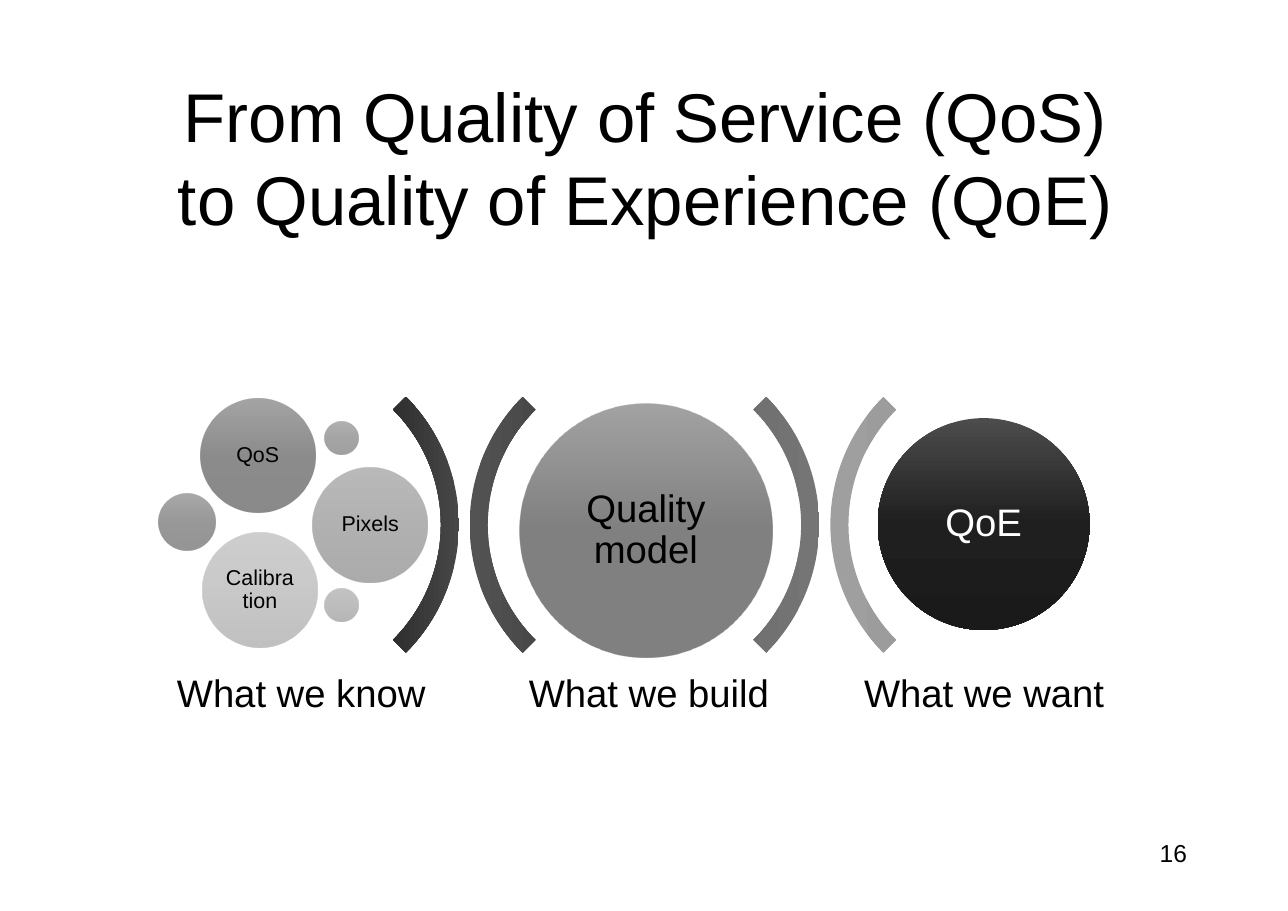
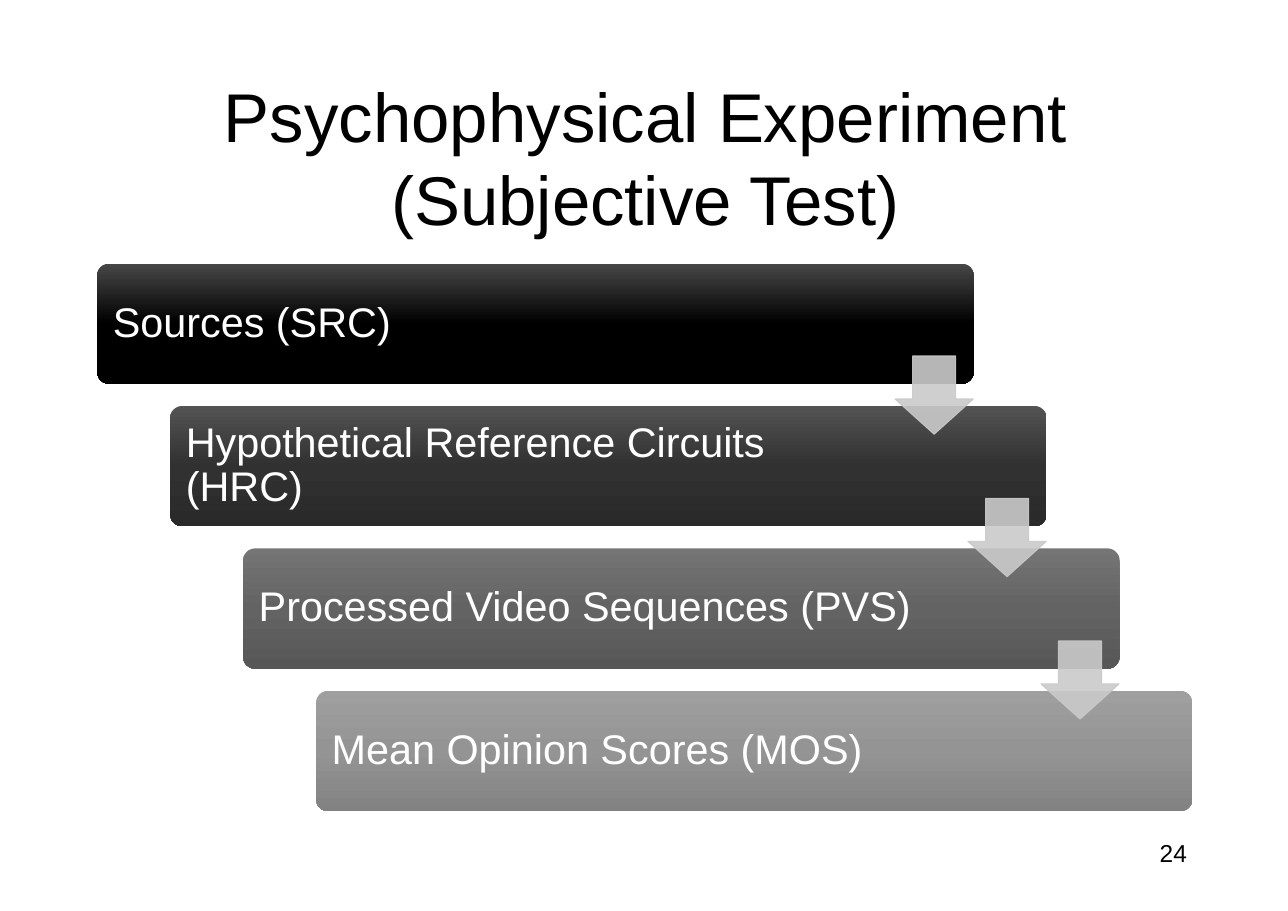
from dataclasses import dataclass

from lxml.etree import SubElement
from pptx import Presentation
from pptx.dml.color import RGBColor
from pptx.enum.shapes import MSO_SHAPE as SHAPE
from pptx.enum.text import MSO_ANCHOR as ANCHOR, PP_ALIGN as ALIGN
from pptx.oxml.ns import qn
from pptx.shapes.autoshape import Shape
from pptx.slide import Slide
from pptx.util import Cm, Pt

FONT = "Arial"
BLACK = RGBColor(0x00, 0x00, 0x00)
WHITE = RGBColor(0xFF, 0xFF, 0xFF)
SILVER = RGBColor(0xCA, 0xCA, 0xCA)

Gradient = tuple[RGBColor, RGBColor, RGBColor]


def greys(top: int, middle: int, bottom: int) -> Gradient:
    return RGBColor(top, top, top), RGBColor(middle, middle, middle), RGBColor(bottom, bottom, bottom)


JET = greys(0x47, 0x00, 0x00)
INK = greys(0x4A, 0x18, 0x14)
COAL = greys(0x4C, 0x1F, 0x1A)
CHARCOAL = greys(0x53, 0x31, 0x2A)
SLATE = greys(0x63, 0x4A, 0x41)
STEEL = greys(0x75, 0x63, 0x57)
ASH = greys(0x8A, 0x7C, 0x6C)
PEARL = greys(0x9F, 0x94, 0x82)


@dataclass(frozen=True)
class Style:
    size: float
    color: RGBColor = BLACK
    align: ALIGN = ALIGN.CENTER
    anchor: ANCHOR = ANCHOR.MIDDLE
    inset: float = 0.25
    right_inset: float | None = None
    spacing: float = 0.9


TITLE = Style(45, inset=0.15, spacing=1.0)
PAGE = Style(16, align=ALIGN.RIGHT, anchor=ANCHOR.TOP, inset=0.15, spacing=1.0)
CAPTION = Style(25)
BUBBLE = Style(14, inset=0.14)
MODEL = Style(25, inset=0)
GOAL = Style(25, WHITE)
STEP = Style(27, WHITE, ALIGN.LEFT, inset=0.28, right_inset=3.8)


@dataclass(frozen=True)
class Circle:
    left: float
    top: float
    size: float
    colors: Gradient
    opacity: int = 50
    text: str = ""
    style: Style = BUBBLE


@dataclass(frozen=True)
class Arc:
    left: float
    rotation: int
    colors: Gradient


@dataclass(frozen=True)
class Step:
    text: str
    colors: Gradient


ARCS = [
    Arc(2.24, 90, JET),
    Arc(10.82, 270, CHARCOAL),
    Arc(10.54, 90, STEEL),
    Arc(19.13, 270, PEARL),
]
CIRCLES = [
    Circle(11.96, 9.3, 5.84, JET, text="Quality model", style=MODEL),
    Circle(4.62, 9.17, 2.64, INK, text="QoS"),
    Circle(3.66, 11.38, 1.3, CHARCOAL),
    Circle(7.49, 9.7, 0.76, SLATE),
    Circle(7.21, 10.77, 2.64, STEEL, text="Pixels"),
    Circle(7.49, 13.56, 0.76, ASH),
    Circle(4.67, 12.27, 2.64, PEARL, text="Calibration"),
    Circle(20.22, 9.63, 4.88, COAL, 100, "QoE", GOAL),
]
CAPTIONS = [(3.78, "What we know"), (11.79, "What we build"), (19.51, "What we want")]
STEPS = [
    Step("Sources (SRC)", JET),
    Step("Hypothetical Reference Circuits (HRC)", CHARCOAL),
    Step("Processed Video Sequences (PVS)", STEEL),
    Step("Mean Opinion Scores (MOS)", PEARL),
]
STEP_DX, STEP_DY = 1.68, 3.28


def write(s: Shape, text: str, style: Style) -> None:
    tf = s.text_frame
    tf.word_wrap = True
    tf.vertical_anchor = style.anchor
    tf.margin_left = tf.margin_top = tf.margin_right = tf.margin_bottom = Cm(style.inset)
    if style.right_inset is not None:
        tf.margin_right = Cm(style.right_inset)
    p = tf.paragraphs[0]
    p.alignment = style.align
    p.line_spacing = style.spacing
    for i, line in enumerate(text.split("\n")):
        if i:
            p.add_line_break()
        r = p.add_run()
        r.text = line
        r.font.name = FONT
        r.font.size = Pt(style.size)
        r.font.color.rgb = style.color


def add_text(slide: Slide, left: float, top: float, width: float, height: float,
             text: str, style: Style) -> None:
    write(slide.shapes.add_textbox(Cm(left), Cm(top), Cm(width), Cm(height)), text, style)


def add_shape(slide: Slide, kind: SHAPE, left: float, top: float, width: float, height: float,
              adjustments: tuple[float, ...] = ()) -> Shape:
    s = slide.shapes.add_shape(kind, Cm(left), Cm(top), Cm(width), Cm(height))
    s.shadow.inherit = False
    s.line.fill.background()
    for i, value in enumerate(adjustments):
        s.adjustments[i] = value
    return s


def set_opacity(s: Shape, percent: int) -> None:
    if percent < 100:
        for color in s.element.spPr.iter(qn("a:srgbClr")):
            SubElement(color, qn("a:alpha"), val=str(percent * 1000))


def fill_gradient(s: Shape, colors: Gradient, opacity: int = 100) -> None:
    s.fill.gradient()
    s.fill.gradient_angle = 270
    stops = s.element.spPr.find(qn("a:gradFill")).find(qn("a:gsLst"))
    for stop in list(stops):
        stops.remove(stop)
    for i, color in enumerate(colors):
        stop = SubElement(stops, qn("a:gs"), pos=str(i * 50000))
        SubElement(stop, qn("a:srgbClr"), val=str(color))
    set_opacity(s, opacity)


def new_slide(prs: Presentation, title: str, number: int) -> Slide:
    slide = prs.slides.add_slide(prs.slide_layouts[6])
    add_text(slide, 2.24, 1.85, 25.25, 3.51, title, TITLE)
    add_text(slide, 26.52, 19.15, 0.97, 0.91, str(number), PAGE)
    return slide


def draw_quality(prs: Presentation) -> None:
    slide = new_slide(prs, "From Quality of Service (QoS)\nto Quality of Experience (QoE)", 16)
    for arc in ARCS:
        s = add_shape(slide, SHAPE.BLOCK_ARC, arc.left, 7.92, 8.33, 8.33, (135, 189, 0.05))
        s.rotation = arc.rotation
        fill_gradient(s, arc.colors)
    for c in CIRCLES:
        s = add_shape(slide, SHAPE.OVAL, c.left, c.top, c.size, c.size)
        fill_gradient(s, c.colors, c.opacity)
        if c.text:
            write(s, c.text, c.style)
    for left, text in CAPTIONS:
        add_text(slide, left, 15.16, 6.32, 1.68, text, CAPTION)


def draw_experiment(prs: Presentation) -> None:
    slide = new_slide(prs, "Psychophysical Experiment (Subjective Test)", 24)
    for i, step in enumerate(STEPS):
        s = add_shape(slide, SHAPE.ROUNDED_RECTANGLE, 2.24 + i * STEP_DX, 6.07 + i * STEP_DY,
                      20.19, 2.77, (0.1,))
        fill_gradient(s, step.colors)
        write(s, step.text, STEP)
    for i in range(len(STEPS) - 1):
        s = add_shape(slide, SHAPE.DOWN_ARROW, 20.62 + i * STEP_DX, 8.2 + i * STEP_DY,
                      1.8, 1.8, (0.55, 0.45))
        s.fill.solid()
        s.fill.fore_color.rgb = SILVER
        s.line.color.rgb = SILVER
        s.line.width = Pt(0.75)
        set_opacity(s, 90)


def main() -> None:
    prs = Presentation()
    prs.slide_width, prs.slide_height = Cm(29.67), Cm(20.98)
    draw_quality(prs)
    draw_experiment(prs)
    prs.save("out.pptx")


if __name__ == "__main__":
    main()
